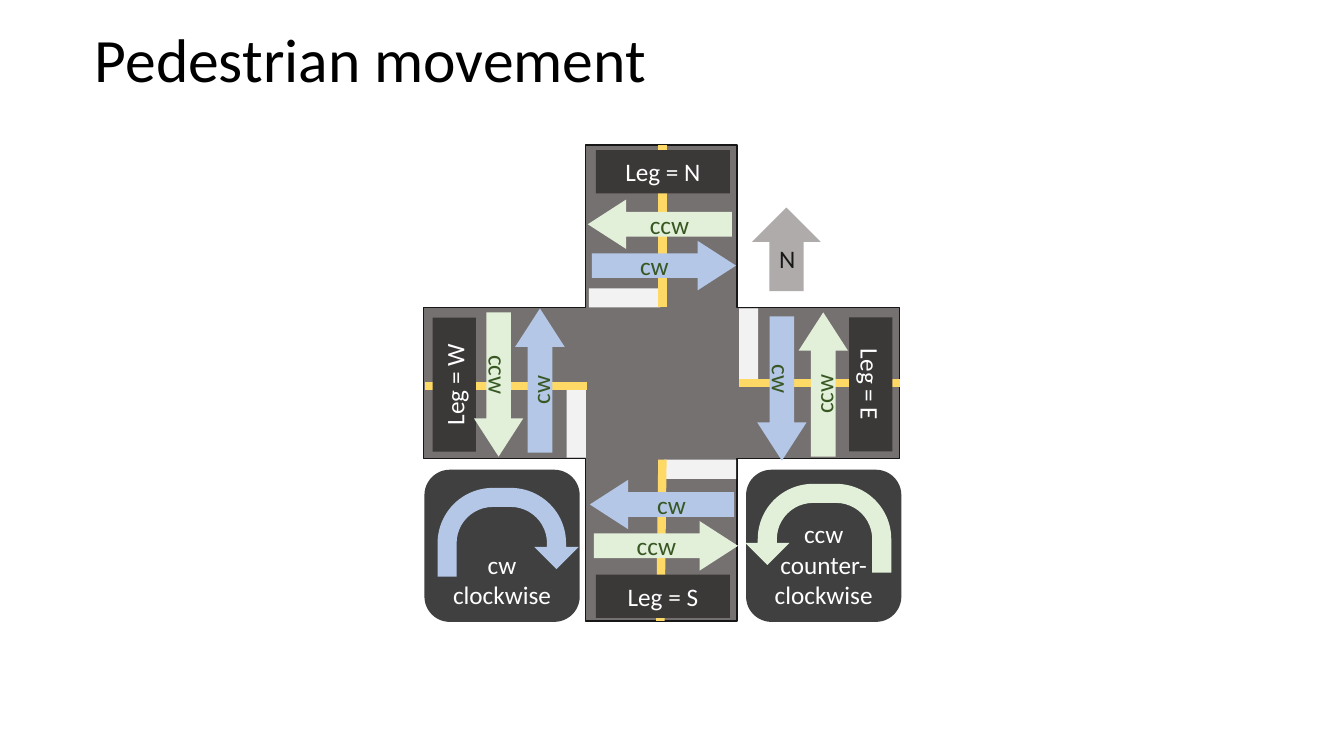
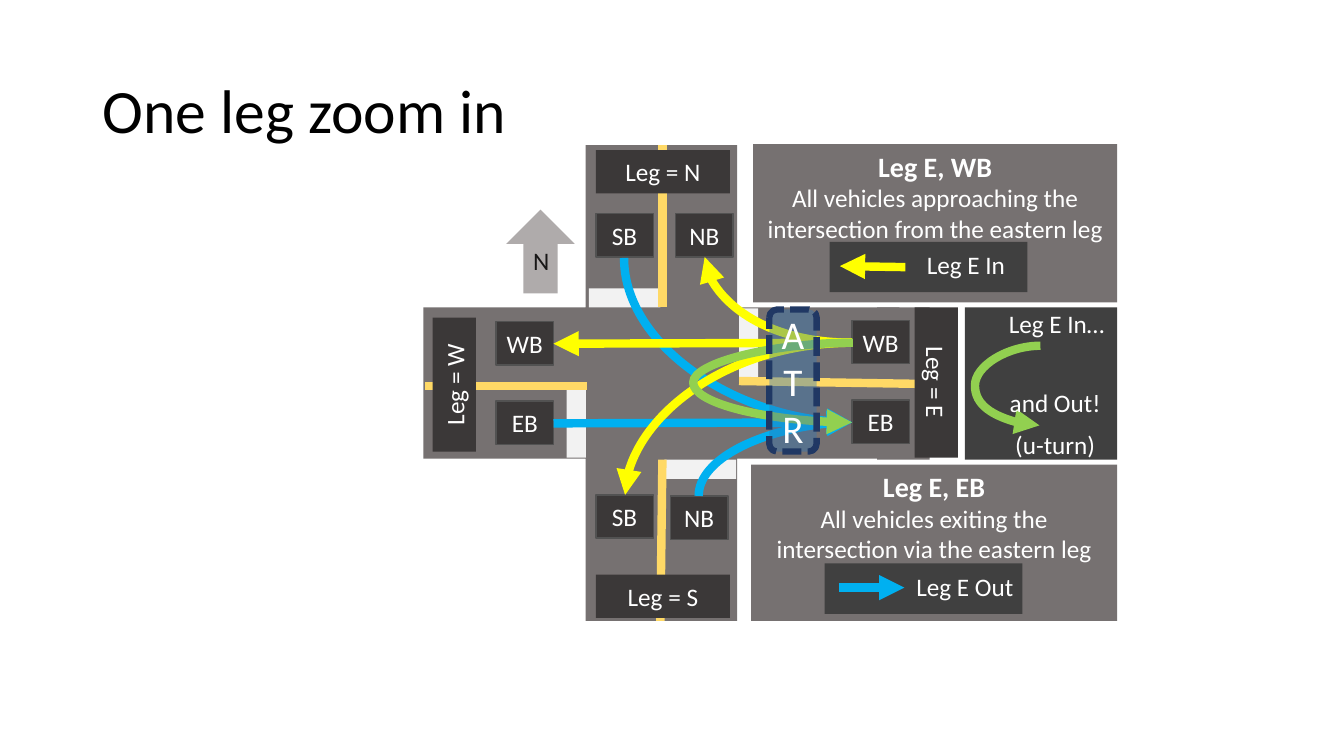
"""Build two slides on pedestrian and vehicle movement at a crossing."""
from pptx import Presentation
from pptx import util as u
from pptx.dml.color import RGBColor
from pptx.enum import dml, shapes, text
from pptx.oxml.ns import qn
from lxml import etree

CELL = u.Inches(0.1)
ROAD, PLATE, CARD = "767171", "3B3838", "404040"
PAINT, STOP, WHITE = "FFD966", "F2F2F2", "FFFFFF"
CW, CCW, LEAF = "B4C7E7", "E2F0D9", "385723"
IN, OUT, TURN = "FFFF00", "00B0F0", "92D050"
kind = shapes.MSO_SHAPE
mid, low, top = (text.MSO_ANCHOR.MIDDLE, text.MSO_ANCHOR.BOTTOM,
                 text.MSO_ANCHOR.TOP)
rgb = RGBColor.from_string


def put(s, form, box, fill=None, words=(), ink=WHITE, size=18, anchor=mid,
        edge=None, rot=0, flip=None, vert=None, adj=()):
    """Place a shape, or a text box when form is None, on the grid."""
    spot = [int(n * CELL) for n in box]
    if form is None:
        part = s.shapes.add_textbox(*spot)
    else:
        part = s.shapes.add_shape(form, *spot)
        part.shadow.inherit = False
        part.fill.solid()
        part.fill.fore_color.rgb = rgb(fill)
        if edge:
            part.line.color.rgb = rgb(edge)
            part.line.width = u.Pt(1)
        else:
            part.line.fill.background()
        for i, val in enumerate(adj):
            part.adjustments[i] = val
    part.rotation = rot
    if flip:
        part._element.spPr.find(qn("a:xfrm")).set(flip, "1")
    frame = part.text_frame
    frame.word_wrap = form is not None
    frame.vertical_anchor = anchor
    if vert:
        frame._txBody.bodyPr.set("vert", vert)
    for i, word in enumerate(words):
        para = frame.add_paragraph() if i else frame.paragraphs[0]
        para.alignment = text.PP_ALIGN.CENTER
        run = para.add_run()
        run.text = word
        run.font.name = "Calibri"
        run.font.size = u.Pt(size)
        run.font.color.rgb = rgb(ink)
    return part


def wire(s, start, stop, ink, tip=None, bend=None, adj=None):
    """Draw a line between grid points, straight or as a preset bend."""
    sort = shapes.MSO_CONNECTOR.CURVE if bend else shapes.MSO_CONNECTOR.STRAIGHT
    link = s.shapes.add_connector(sort, *[int(n * CELL) for n in start + stop])
    link.line.color.rgb = rgb(ink)
    link.line.width = u.Pt(6)
    props = link._element.spPr
    if tip:
        etree.SubElement(props.find(qn("a:ln")), qn("a:" + tip), type="triangle")
    if bend:
        geom = props.find(qn("a:prstGeom"))
        geom.set("prst", bend)
        if adj:
            etree.SubElement(geom.find(qn("a:avLst")), qn("a:gd"),
                             name="adj1", fmla=f"val {adj * 100000}")
    etree.SubElement(props, qn("a:effectLst"))


deck = Presentation()
deck.slide_width, deck.slide_height = u.Inches(13.33), u.Inches(7.5)

plans = [
    ("Pedestrian movement", (8.4, -1), "181717", (89.3, 38), (73.3, 38),
     (79.7, 36, 13.3, 4.3), (74.6, 20.6)),
    ("One leg zoom in", (9.2, 4), None, (92.2, 38.1), (73.3, 37.8),
     (85.4, 35.8, 14.9, 4.3), (50.2, 20.8)),
]
pages = []
for name, place, edge, far, near, east, north in plans:
    s = deck.slides.add_slide(deck.slide_layouts[5])
    pages.append(s)
    head = s.shapes.title
    head.left, head.top, head.width, head.height = [
        int(n * CELL) for n in place + (115, 14.5)]
    head.text_frame.vertical_anchor = mid
    para = head.text_frame.paragraphs[0]
    para.alignment = text.PP_ALIGN.LEFT
    para.line_spacing = 0.9
    run = para.add_run()
    run.text = name
    run.font.name, run.font.size = "Calibri", u.Pt(44)
    run.font.color.rgb = rgb("000000")

    if not edge:
        put(s, kind.RECTANGLE, (87, 30.5, 5.2, 15.1), ROAD)
    put(s, kind.CROSS, (42, 14.4, 47.2, 47.2), ROAD, edge=edge, adj=[0.341])
    for x, y, rot in [(73.3, 30.6, 0), (56.2, 38.3, 0),
                      (61, 26, 90), (68.5, 43, 90)]:
        put(s, kind.RECTANGLE, (x, y, 1.9, 7.1), STOP, rot=rot)
    for start, stop in [(near, far), ((42.2, 38.3), (58.2, 38.3)),
                        ((65.7, 45.6), (65.5, 61.6)),
                        ((65.7, 14.4), (65.7, 30.5))]:
        wire(s, start, stop, PAINT)
    for leg, box, rot in [("N", (59.1, 14.9, 13.3, 4.3), 0),
                          ("S", (59.1, 57, 13.3, 4.3), 0),
                          ("E", east, 90),
                          ("W", (38.4, 36, 13.3, 4.3), 270)]:
        put(s, kind.RECTANGLE, box, PLATE, [f"Leg = {leg}"], rot=rot)
    put(s, kind.UP_ARROW, north + (6.8, 8.3), "AFABAB", ["N"], "181717")

walk, zoom = pages

for x, words, turn, ink, flip in [
        (42.1, ["cw", "clockwise"], (43.4, 48.4, 14, 8.8), CW, None),
        (74, ["ccw", "counter- clockwise"], (73.9, 48, 14.5, 8.8), CCW, "flipH")]:
    put(walk, kind.ROUNDED_RECTANGLE, (x, 46.6, 15.4, 15.1), CARD, words,
        anchor=low)
    put(walk, kind.U_TURN_ARROW, turn, ink, flip=flip,
        adj=[0.215, 0.25, 0.25, 0.623, 0.915])

for rot, back, ahead, spin, tilt in [
        (180, (47, 31), (51.1, 30.6), "vert", "vert"),
        (0, (79.2, 31), (75.1, 31.4), "vert", "vert"),
        (270, (63, 15.1), (63.4, 19.2), "vert270", "vert"),
        (90, (63.6, 47), (63.2, 42.9), "vert", "vert270")]:
    for word, spot, ink, flip, vert in [("ccw", back, CCW, "flipV", spin),
                                        ("cw", ahead, CW, None, tilt)]:
        put(walk, kind.DOWN_ARROW, spot + (4.9, 14.3), ink, [word], LEAF,
            rot=rot, flip=flip, vert=vert, adj=[0.5, 0.775])

for word, x, y in [("EB", 84.5, 39.7), ("WB", 84.5, 31.8),
                   ("NB", 66.5, 49.2), ("SB", 59.1, 49.1),
                   ("NB", 67, 21.2), ("SB", 59.1, 21.2),
                   ("EB", 49.2, 39.8), ("WB", 49.2, 31.9)]:
    put(zoom, kind.RECTANGLE, (x, y, 5.7, 4.3), PLATE, [word], edge="525252")

exit, entry = (84.5, 41.9), (84.5, 34)
arc, loop = "curvedConnector2", "curvedConnector3"
wire(zoom, exit, (69.3, 49.2), OUT, "headEnd", arc)
wire(zoom, (54.9, 42), exit, OUT, "tailEnd")
wire(zoom, exit, (61.9, 25.6), OUT, "headEnd", arc)
wire(zoom, entry, (54.9, 34.1), IN, "tailEnd")
wire(zoom, entry, (69.9, 25.5), IN, "tailEnd", arc)
wire(zoom, entry, (62, 49.1), IN, "tailEnd", arc)
wire(zoom, (84.6, 34), exit, TURN, "tailEnd", loop, 161)

gate = put(zoom, kind.ROUNDED_RECTANGLE, (76.3, 30.7, 4.7, 14.1), "2E75B6",
           "ATR", size=28, edge="203864")
gate.line.width = u.Pt(4.5)
gate.line.dash_style = dml.MSO_LINE.SQUARE_DOT
tint = gate._element.spPr.find(qn("a:solidFill"))[0]
etree.SubElement(tint, qn("a:alpha"), val="40000")

for box, words, key, start, stop, ink, label, spot in [
        ((74.7, 14.3, 36.1, 15.7),
         ["Leg E, WB",
          "All vehicles approaching the intersection from the eastern leg"],
         (82.3, 24), (89.8, 26.5), (83.3, 26.4), IN,
         "Leg E In", (90.7, 24.2, 10.2, 4)),
        ((74.5, 46.1, 36.3, 15.5),
         ["Leg E, EB",
          "All vehicles exiting the intersection via the eastern leg"],
         (81.8, 55.9), (83.2, 58.3), (89.7, 58.3), OUT,
         "Leg E Out", (89.5, 56.2, 12.4, 4))]:
    panel = put(zoom, kind.RECTANGLE, box, ROAD, words, anchor=top)
    font = panel.text_frame.paragraphs[0].runs[0].font
    font.size, font.bold = u.Pt(20), True
    put(zoom, kind.RECTANGLE, key + (19.6, 5), CARD)
    wire(zoom, start, stop, ink, "tailEnd")
    put(zoom, None, spot, words=[label], anchor=top)

put(zoom, kind.RECTANGLE, (95.7, 30.5, 15.1, 15.1), CARD)
wire(zoom, (103.2, 34.3), (103.1, 42.2), TURN, "tailEnd", loop, 66)
for word, y, w in [("Leg E In…", 30.1, 11.8), ("(u-turn)", 42.1, 11.5),
                   ("and Out!", 37.9, 11.5)]:
    put(zoom, None, (98.9, y, w, 4), words=[word], anchor=top)

deck.save("out.pptx")
